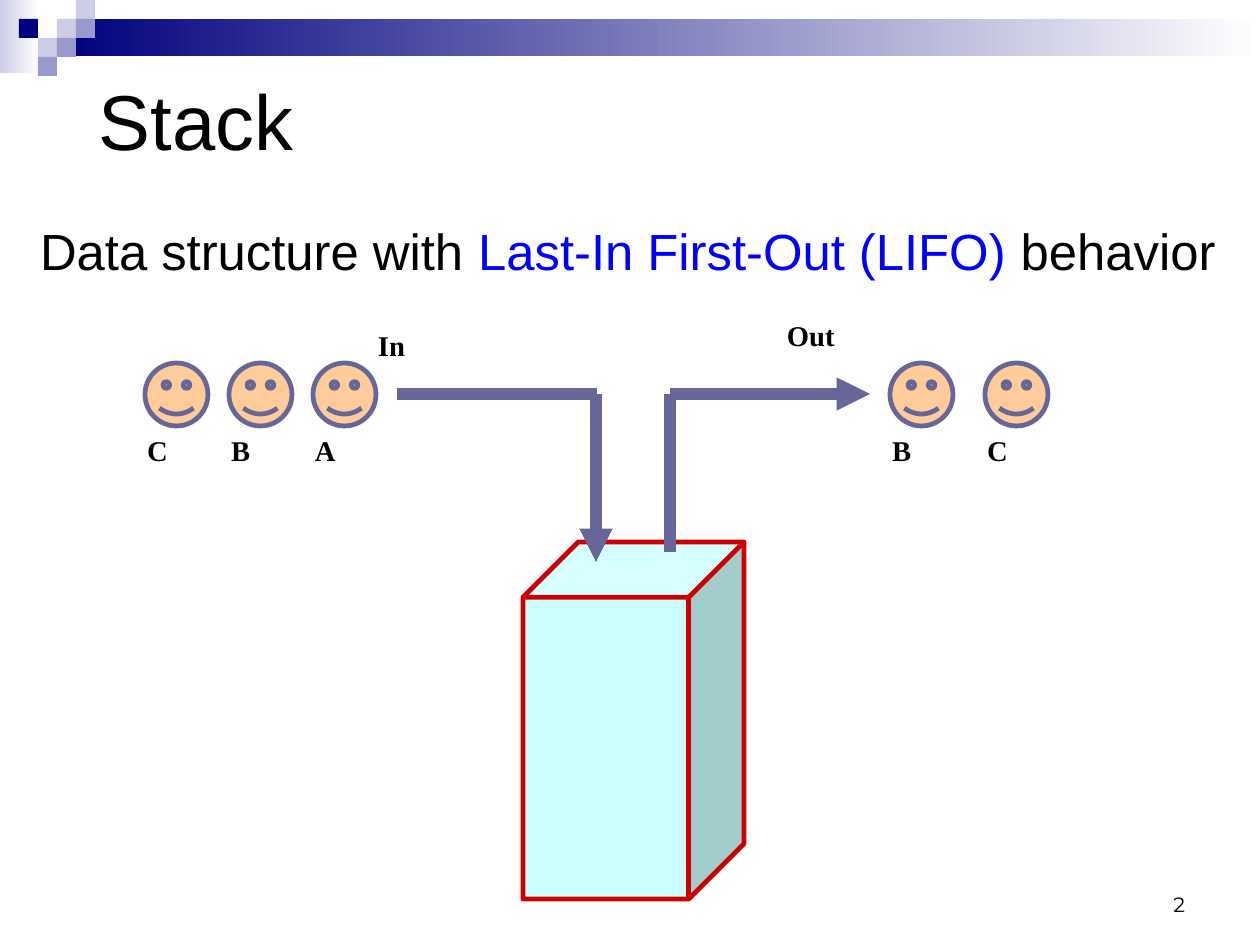
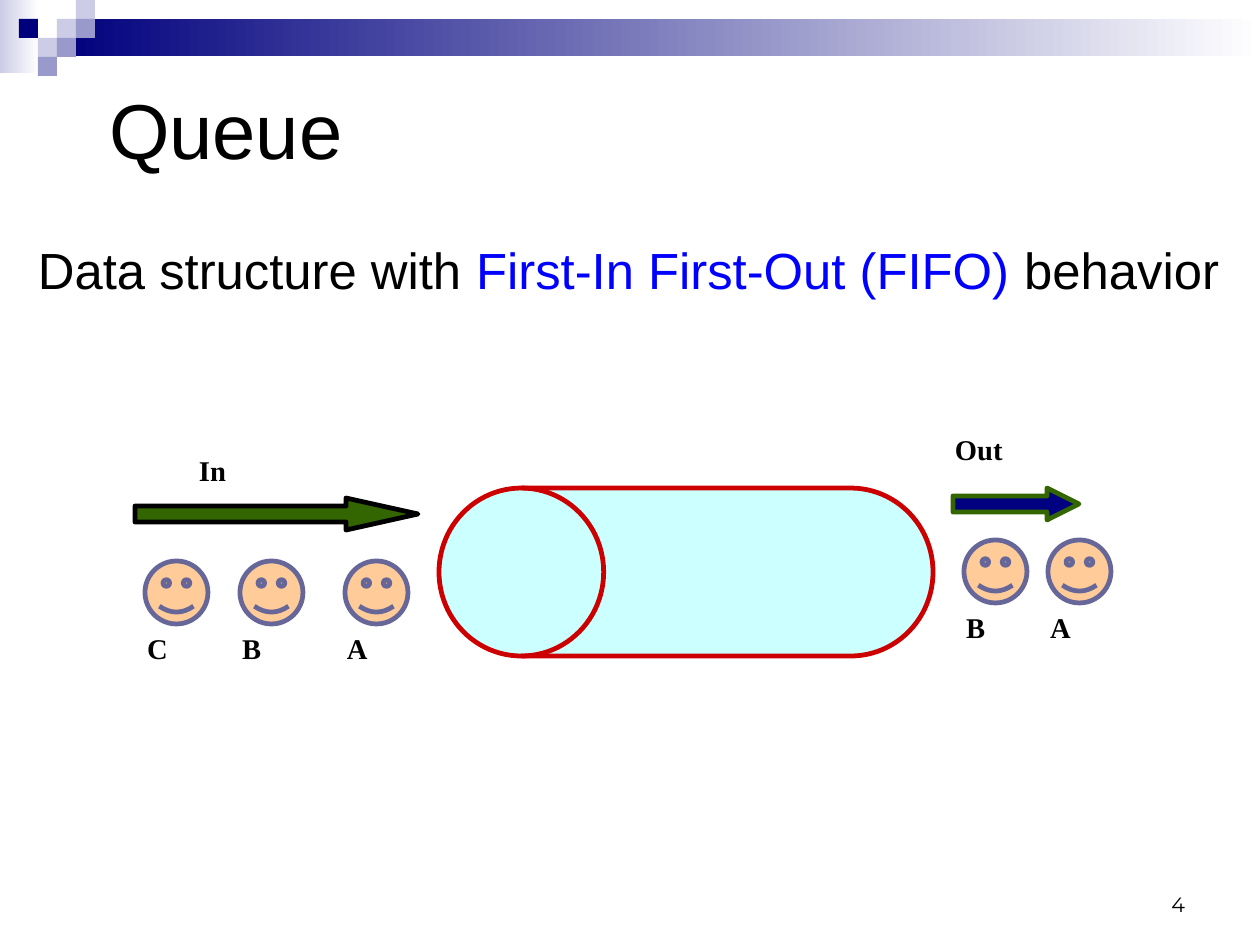
from pptx import Presentation
from pptx.dml.color import RGBColor
from pptx.enum.shapes import MSO_CONNECTOR, MSO_SHAPE
from pptx.enum.text import MSO_ANCHOR, MSO_AUTO_SIZE, PP_ALIGN
from pptx.oxml.ns import qn
from pptx.util import Emu, Pt
from lxml.etree import SubElement

SCALE = 8000
CELL = 19
FACE = 63
COLOURS = {
    "navy": "00007D", "mid": "9999CC", "light": "CCCCE6", "white": "FFFFFF",
    "text": "000000", "accent": "0000FF", "skin": "FFCC99", "outline": "666699",
    "container": "CCFFFF", "edge": "CC0000", "green": "336600", "arrow": "000080",
}
MOSAIC = {
    (3, 1): "light", (4, 0): "light", (4, 1): "mid", (2, 2): "light",
    (1, 1): "navy", (3, 2): "mid", (2, 3): "mid",
}


def px(length):
    return Emu(length * SCALE)


def place(box):
    return [px(length) for length in box]


def colour(name):
    return RGBColor.from_string(COLOURS[name])


def add_figure(slide, kind, box, fill, line=None, adjustments=()):
    shape = slide.shapes.add_shape(kind, *place(box))
    shape.shadow.inherit = False
    shape.fill.solid()
    shape.fill.fore_color.rgb = colour(fill)
    if line:
        shape.line.color.rgb = colour(line)
        shape.line.width = Pt(3)
    else:
        shape.line.fill.background()
    for index, value in enumerate(adjustments):
        shape.adjustments[index] = value
    return shape


def add_fade(slide, box, start):
    shape = add_figure(slide, MSO_SHAPE.RECTANGLE, box, start)
    shape.fill.gradient()
    shape.fill.gradient_angle = 0
    for stop, name, position in zip(shape.fill.gradient_stops, (start, "white"), (0, 1)):
        stop.color.rgb = colour(name)
        stop.position = position
    return shape


def write(shape, runs, size, font, bold=False, align=PP_ALIGN.LEFT,
          anchor=MSO_ANCHOR.TOP, inset=(12, 7), wrap=True):
    frame = shape.text_frame
    frame.word_wrap = wrap
    frame.auto_size = MSO_AUTO_SIZE.NONE
    frame.vertical_anchor = anchor
    frame.margin_left = frame.margin_right = px(inset[0])
    frame.margin_top = frame.margin_bottom = px(inset[1])
    paragraph = frame.paragraphs[0]
    paragraph.alignment = align
    for text, name in runs:
        run = paragraph.add_run()
        run.text = text
        run.font.size = Pt(size)
        run.font.name = font
        run.font.bold = bold
        run.font.color.rgb = colour(name)


def add_label(slide, left, top, text, width=115):
    box = slide.shapes.add_textbox(*place((left, top, width, 47)))
    write(box, [(text, "text")], 18, "Times New Roman", bold=True)


def add_line(slide, start, end, arrow=False):
    line = slide.shapes.add_connector(MSO_CONNECTOR.STRAIGHT, *place(start + end))
    line.line.color.rgb = colour("outline")
    line.line.width = Pt(7)
    properties = line.line._get_or_add_ln()
    if arrow:
        SubElement(properties, qn("a:tailEnd"), type="triangle")
    SubElement(line._element.spPr, qn("a:effectLst"))


def add_people(slide, left, top, people):
    for offset, name in people:
        add_figure(slide, MSO_SHAPE.SMILEY_FACE, (left + offset, top, FACE, FACE),
                   "skin", "outline", [0.093])
        add_label(slide, left + offset - 10, top + FACE, name, 84)


def decorate_layout(slide):
    band = [add_fade(slide, (0, 0, 39, 73), "light"),
            add_fade(slide, (57, CELL, 1203, 37), "navy")]
    for (column, row), name in MOSAIC.items():
        box = (column * CELL, row * CELL, CELL, CELL)
        band.append(add_figure(slide, MSO_SHAPE.RECTANGLE, box, name))
    tree = slide.slide_layout.shapes._spTree
    for index, shape in enumerate(band, 2):
        tree.insert(index, shape._element)


def add_frame(presentation, title, corner, number):
    slide = presentation.slides.add_slide(presentation.slide_layouts[5])
    heading = slide.shapes.title
    heading.left, heading.top, heading.width, heading.height = place(corner + (1134, 189))
    write(heading, [(title, "text")], 49, "Arial", anchor=MSO_ANCHOR.MIDDLE)
    footer = slide.shapes.add_textbox(*place((903, 861, 294, 63)))
    write(footer, [(number, "text")], 13, "Montserrat",
          align=PP_ALIGN.RIGHT, anchor=MSO_ANCHOR.BOTTOM)
    return slide


def add_definition(slide, left, top, behavior):
    box = slide.shapes.add_textbox(*place((left, top, 1192, 61)))
    runs = [("Data structure with ", "text"), (behavior, "accent"), (" behavior", "text")]
    write(box, runs, 32, "Arial", inset=(0, 0), wrap=False)


def draw_stack(slide, left, top):
    add_figure(slide, MSO_SHAPE.CUBE, (left + 388, top + 231, 221, 357),
               "container", "edge", [0.25])
    level = top + 83
    entry, leaving = left + 461, left + 535
    add_line(slide, (entry, level), (entry, top + 251), arrow=True)
    add_line(slide, (entry + 1, level), (left + 262, level))
    add_line(slide, (leaving, top + 241), (leaving, level))
    add_line(slide, (leaving, level), (left + 735, level), arrow=True)
    add_label(slide, left + 231, top + 10, "In")
    add_label(slide, left + 640, top, "Out")
    add_people(slide, left + 10, top + 52, [(0, "C"), (84, "B"), (168, "A")])
    add_people(slide, left + 755, top + 52, [(0, "B"), (95, "C")])


def draw_queue(slide, left, top):
    drum = add_figure(slide, MSO_SHAPE.FLOWCHART_DIRECT_ACCESS_STORAGE,
                      (left + 304, top + 63, 494, 168), "container", "edge")
    drum.rotation = 180
    add_figure(slide, MSO_SHAPE.RIGHT_ARROW, (left, top + 73, 283, 32),
               "green", "text", [0.5, 2.25])
    add_figure(slide, MSO_SHAPE.RIGHT_ARROW, (left + 818, top + 63, 126, 32),
               "arrow", "green", [0.5, 1])
    add_label(slide, left + 52, top + 21, "In")
    add_label(slide, left + 808, top, "Out")
    add_people(slide, left + 10, top + 136, [(0, "C"), (95, "B"), (200, "A")])
    add_people(slide, left + 829, top + 115, [(0, "B"), (84, "A")])


def main():
    presentation = Presentation()
    presentation.slide_width, presentation.slide_height = px(1260), px(945)

    stack = add_frame(presentation, "Stack", (87, 25), "2")
    decorate_layout(stack)
    add_definition(stack, 40, 220, "Last-In First-Out (LIFO)")
    draw_stack(stack, 135, 311)

    queue = add_frame(presentation, "Queue", (97, 34), "4")
    add_definition(queue, 38, 239, "First-In First-Out (FIFO)")
    draw_queue(queue, 135, 425)

    presentation.save("out.pptx")


if __name__ == "__main__":
    main()
